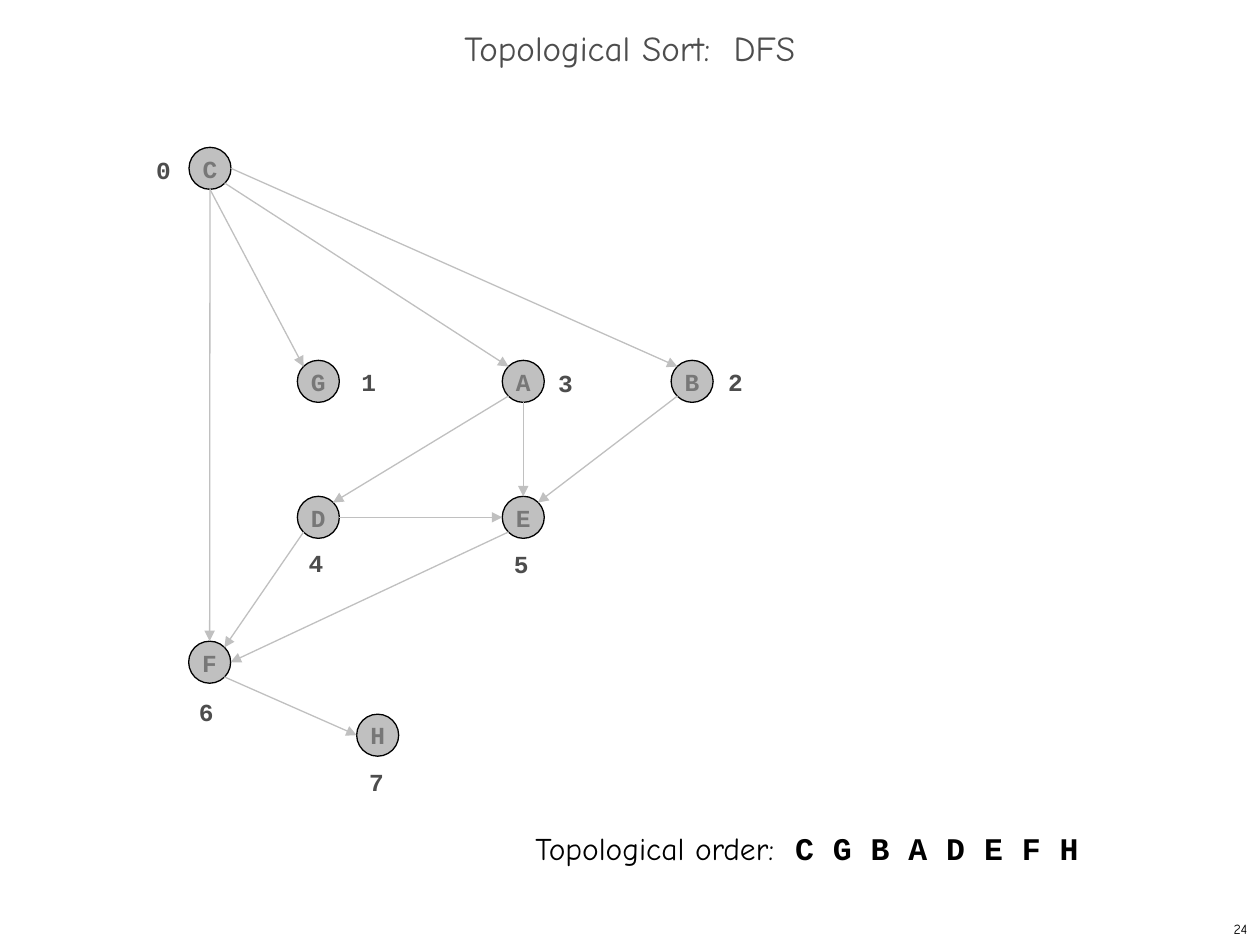
from typing import NamedTuple

from lxml import etree
from pptx import Presentation
from pptx.dml.color import RGBColor
from pptx.enum.shapes import MSO_CONNECTOR, MSO_SHAPE
from pptx.enum.text import MSO_ANCHOR, MSO_AUTO_SIZE, PP_ALIGN
from pptx.oxml.ns import qn
from pptx.util import Pt

OVAL = MSO_SHAPE.OVAL
LINE = MSO_CONNECTOR.STRAIGHT
MID, TOP = MSO_ANCHOR.MIDDLE, MSO_ANCHOR.TOP
LEFT, MIDDLE, RIGHT = PP_ALIGN.LEFT, PP_ALIGN.CENTER, PP_ALIGN.RIGHT
FIT = MSO_AUTO_SIZE.SHAPE_TO_FIT_TEXT
SANS, MONO = "Comic Neue", "Courier New"
BLACK, DARK, GREY, SILVER = "000000", "4D4D4D", "777777", "C0C0C0"

RAD = 12
DIAG = 0.7 * RAD
# Offset from a node's centre to each point of its rim
PORTS = {
    "N": (0, -RAD), "S": (0, RAD), "W": (-RAD, 0), "E": (RAD, 0),
    "NW": (-DIAG, -DIAG), "NE": (DIAG, -DIAG),
    "SW": (-DIAG, DIAG), "SE": (DIAG, DIAG),
}


class Node(NamedTuple):
    x: float  # centre
    y: float
    rank: str
    left: float  # corner of the rank label
    top: float


class Edge(NamedTuple):
    start: str
    out: str
    end: str
    into: str


NODES = {
    "C": Node(120, 96.2, "0", 82.1, 85),
    "G": Node(181.9, 217.9, "1", 199.4, 205.9),
    "B": Node(395.5, 217.9, "2", 409, 205.9),
    "A": Node(299, 217.9, "3", 311.8, 206.6),
    "D": Node(181.9, 295.6, "4", 169.2, 309.6),
    "E": Node(299, 295.6, "5", 286.6, 310.3),
    "F": Node(119.8, 378.4, "6", 106.6, 394.6),
    "H": Node(215.8, 420.1, "7", 203.8, 434.9),
}

EDGES = [
    Edge("C", "S", "F", "N"), Edge("C", "S", "G", "NW"),
    Edge("C", "SE", "A", "NW"), Edge("C", "E", "B", "NW"),
    Edge("A", "SW", "D", "NE"), Edge("A", "S", "E", "N"),
    Edge("B", "SW", "E", "NE"), Edge("D", "E", "E", "W"),
    Edge("D", "SW", "F", "NE"), Edge("E", "SW", "F", "E"),
    Edge("F", "SE", "H", "W"),
]


def color(code: str) -> RGBColor:
    return RGBColor.from_string(code)


def style(run, size: float, face: str, code: str, bold: bool = False) -> None:
    run.font.size = Pt(size)
    run.font.name = face
    run.font.bold = bold
    run.font.color.rgb = color(code)


def add_text(slide, box: tuple, text: str, size: float, face: str, code: str,
             bold: bool = False, align=LEFT, anchor=TOP, wrap: bool = False):
    frame = slide.shapes.add_textbox(*map(Pt, box)).text_frame
    frame.word_wrap = wrap
    frame.vertical_anchor = anchor
    if anchor == TOP:
        frame.auto_size = FIT
    frame.text = text
    para = frame.paragraphs[0]
    para.alignment = align
    style(para.runs[0], size, face, code, bold)
    return para


def add_node(slide, name: str, node: Node) -> None:
    shape = slide.shapes.add_shape(
        OVAL, Pt(node.x - RAD), Pt(node.y - RAD), Pt(2 * RAD), Pt(2 * RAD))
    shape.shadow.inherit = False
    shape.fill.solid()
    shape.fill.fore_color.rgb = color(SILVER)
    shape.line.color.rgb = color(BLACK)
    shape.line.width = Pt(0.75)
    frame = shape.text_frame
    frame.word_wrap = False
    frame.vertical_anchor = MID
    frame.text = name
    frame.paragraphs[0].alignment = MIDDLE
    style(frame.paragraphs[0].runs[0], 14, MONO, GREY, True)


def find_port(name: str, port: str) -> tuple:
    dx, dy = PORTS[port]
    return Pt(NODES[name].x + dx), Pt(NODES[name].y + dy)


def add_edge(slide, edge: Edge) -> None:
    line = slide.shapes.add_connector(
        LINE, *find_port(edge.start, edge.out), *find_port(edge.end, edge.into))
    line.line.color.rgb = color(SILVER)
    line.line.width = Pt(0.75)
    props = line._element.spPr
    etree.SubElement(props.find(qn("a:ln")), qn("a:tailEnd"), type="triangle")
    etree.SubElement(props, qn("a:effectLst"))


def main() -> None:
    deck = Presentation()
    deck.slide_width, deck.slide_height = Pt(720), Pt(540)
    slide = deck.slides.add_slide(deck.slide_layouts[6])

    # Title and page number
    title = add_text(slide, (0, 12.2, 720, 36), "Topological Sort:  DFS", 20,
                     SANS, DARK, align=MIDDLE, anchor=MID, wrap=True)
    title.line_spacing = 0.7
    add_text(slide, (570.2, 522, 149.8, 18), "24", 8, SANS, BLACK,
             align=RIGHT, anchor=MID)

    # Graph
    for name, node in NODES.items():
        add_node(slide, name, node)
        add_text(slide, (node.left, node.top, 23, 24), node.rank, 14,
                 MONO, DARK, True)
    for edge in EDGES:
        add_edge(slide, edge)

    # Resulting order
    order = add_text(slide, (298.8, 470.2, 338.4, 28.8),
                     "Topological order:  ", 18, SANS, BLACK)
    run = order.add_run()
    run.text = " ".join(NODES)
    style(run, 18, MONO, BLACK, True)

    deck.save("out.pptx")


if __name__ == "__main__":
    main()
